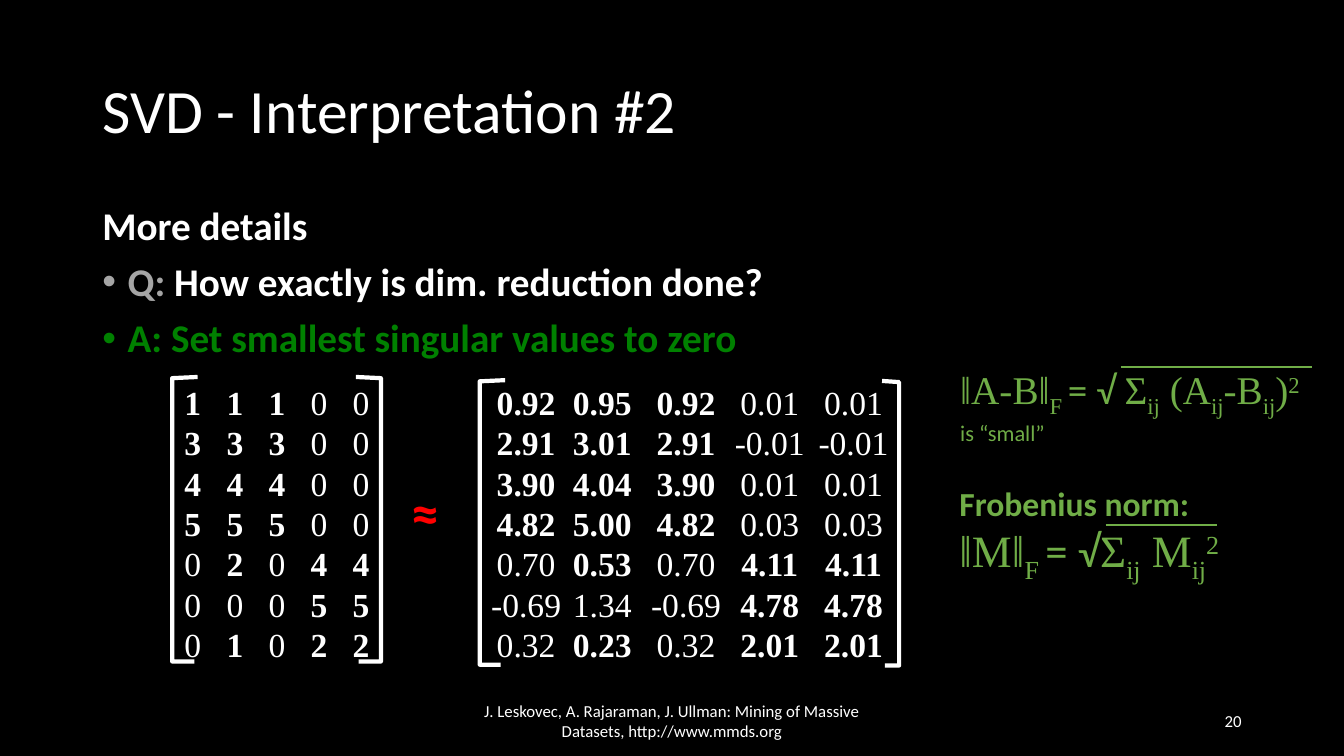
from lxml.etree import SubElement
from pptx import Presentation
from pptx.dml.color import RGBColor
from pptx.enum.shapes import MSO_CONNECTOR as Connector
from pptx.enum.text import MSO_ANCHOR as Anchor, PP_ALIGN as Align
from pptx.oxml.ns import qn
from pptx.util import Cm, Pt

BLACK = RGBColor(0x00, 0x00, 0x00)
WHITE = RGBColor(0xFF, 0xFF, 0xFF)
GRAY = RGBColor(0xA5, 0xA5, 0xA5)
GREEN = RGBColor(0x00, 0x80, 0x00)
LIGHT_GREEN = RGBColor(0x70, 0xAD, 0x47)
RED = RGBColor(0xFF, 0x00, 0x00)
SANS, SERIF = "Calibri", "Times New Roman"

SUB = {"baseline": -25}
SUP = {"baseline": 30}
SANS_RUN = {"font": SANS}

RATINGS = [
    "1 1 1 0 0",
    "3 3 3 0 0",
    "4 4 4 0 0",
    "5 5 5 0 0",
    "0 2 0 4 4",
    "0 0 0 5 5",
    "0 1 0 2 2",
]
APPROXIMATION = [
    "0.92 0.95 0.92 0.01 0.01",
    "2.91 3.01 2.91 -0.01 -0.01",
    "3.90 4.04 3.90 0.01 0.01",
    "4.82 5.00 4.82 0.03 0.03",
    "0.70 0.53 0.70 4.11 4.11",
    "-0.69 1.34 -0.69 4.78 4.78",
    "0.32 0.23 0.32 2.01 2.01",
]
RATING_TABS = [0.37 + 1.06 * column for column in range(5)]
APPROXIMATION_TABS = [0.94] + [2.86 + 2.11 * column for column in range(4)]


def add_run(paragraph, text, font=SANS, size=24, color=WHITE, bold=False, baseline=0):
    run = paragraph.add_run()
    run.text = text
    run.font.name = font
    run.font.size = Pt(size)
    run.font.color.rgb = color
    run.font.bold = bold
    if baseline:
        run.font._element.set("baseline", str(baseline * 1000))


def add_text(slide, box, paragraphs, anchor=Anchor.TOP, align=Align.LEFT,
             line_spacing=None, space_before=None, **run_format):
    """Each paragraph is a list of (text, format overrides) runs."""
    shape = slide.shapes.add_textbox(*map(Cm, box))
    frame = shape.text_frame
    frame.word_wrap = True
    frame.vertical_anchor = anchor
    for index, runs in enumerate(paragraphs):
        paragraph = frame.add_paragraph() if index else frame.paragraphs[0]
        paragraph.alignment = align
        paragraph.line_spacing = line_spacing
        paragraph.space_before = space_before
        for text, overrides in runs:
            add_run(paragraph, text, **{**run_format, **overrides})
    return shape


def add_bullet(paragraph, color):
    properties = paragraph._p.get_or_add_pPr()
    properties.set("marL", str(Cm(0.64)))
    properties.set("indent", str(-Cm(0.64)))
    bullet_color = SubElement(properties, qn("a:buClr"))
    SubElement(bullet_color, qn("a:srgbClr"), val=str(color))
    SubElement(properties, qn("a:buFont"), typeface="Arial")
    SubElement(properties, qn("a:buChar"), char="•")


def add_matrix(slide, box, rows, tabs):
    # An entry is bold where the matching rating is not zero
    paragraphs = [
        [("\t" + value, {"bold": rating != "0"})
         for value, rating in zip(row.split(), ratings.split())]
        for row, ratings in zip(rows, RATINGS)
    ]
    shape = add_text(slide, box, paragraphs, font=SERIF, line_spacing=Pt(28.8))
    for paragraph in shape.text_frame.paragraphs:
        tab_list = SubElement(paragraph._p.get_or_add_pPr(), qn("a:tabLst"))
        for position in tabs:
            SubElement(tab_list, qn("a:tab"), pos=str(Cm(position)), algn="ctr")


def add_bracket(slide, tip, side, foot, top):
    bottom = top + 7.17
    points = [(Cm(x), Cm(y)) for x, y in
              [(tip, top), (side, top + 0.03), (side, bottom), (foot, bottom)]]
    builder = slide.shapes.build_freeform(*points[0])
    builder.add_line_segments(points[1:], close=False)
    shape = builder.convert_to_shape()
    shape.shadow.inherit = False
    shape.fill.background()
    shape.line.color.rgb = WHITE
    shape.line.width = Pt(3)


def add_root_bar(slide, left, right, y):
    line = slide.shapes.add_connector(Connector.STRAIGHT, Cm(left), Cm(y), Cm(right), Cm(y))
    line.line.color.rgb = LIGHT_GREEN
    line.line.width = Pt(1)
    SubElement(line._element.spPr, qn("a:effectLst"))


def main():
    presentation = Presentation()
    presentation.slide_width = Cm(33.87)
    presentation.slide_height = Cm(19.05)
    slide = presentation.slides.add_slide(presentation.slide_layouts[6])
    slide.background.fill.solid()
    slide.background.fill.fore_color.rgb = BLACK

    # Title and body
    add_text(slide, (2.33, 1.01, 29.21, 3.68), [[("SVD - Interpretation #2", {})]],
             anchor=Anchor.MIDDLE, size=44, line_spacing=0.9)
    body = add_text(slide, (2.33, 5.07, 29.21, 12.09), [
        [("More details", {})],
        [("Q:", {"color": GRAY}), (" How exactly is dim. reduction done?", {})],
        [("A: Set smallest singular values to zero", {"color": GREEN})],
    ], size=28, bold=True, line_spacing=0.9, space_before=Pt(10))
    for paragraph, color in zip(body.text_frame.paragraphs[1:], (GRAY, GREEN)):
        add_bullet(paragraph, color)

    # Footer and slide number
    citation = "J. Leskovec, A. Rajaraman, J. Ullman: Mining of Massive Datasets, http://www.mmds.org"
    add_text(slide, (11.22, 17.66, 11.43, 1.01), [[(citation, {})]],
             anchor=Anchor.MIDDLE, align=Align.CENTER, size=12)
    add_text(slide, (23.92, 17.66, 7.62, 1.01), [[("20", {})]],
             anchor=Anchor.MIDDLE, align=Align.RIGHT, size=12)

    # Rating matrix and its approximation
    for tip, side, foot, top in [
        (4.98, 4.34, 4.9, 9.5), (8.97, 9.6, 9.04, 9.5),
        (12.73, 12.09, 12.62, 9.58), (22.23, 22.66, 22.3, 9.6),
    ]:
        add_bracket(slide, tip, side, foot, top)
    add_matrix(slide, (4.24, 9.5, 5.51, 7.44), RATINGS, RATING_TABS)
    add_text(slide, (10.13, 11.89, 1.3, 1.96), [[("≈", {})]],
             anchor=Anchor.MIDDLE, size=40, color=RED, bold=True)
    add_matrix(slide, (12.07, 9.5, 12.07, 7.44), APPROXIMATION, APPROXIMATION_TABS)

    # Frobenius norm formulas
    add_text(slide, (23.93, 12.04, 7.39, 2.64), [
        [("Frobenius norm:", {"font": SANS, "size": 24, "bold": True})],
        [("ǁMǁ", {}), ("F ", SUB), ("= √", SANS_RUN), ("Σ", {}), ("ij", SUB),
         (" M", {}), ("ij", SUB), ("2", SUP)],
    ], font=SERIF, size=32, color=LIGHT_GREEN)
    add_text(slide, (23.95, 9.09, 9.42, 2.64), [
        [("ǁA-Bǁ", {}), ("F ", SUB), ("= √ ", SANS_RUN), ("Σ", {}), ("ij", SUB),
         (" (A", {}), ("ij", SUB), ("-B", {}), ("ij", SUB), (")", {}), ("2", SUP)],
        [("is “small”", {"font": SANS, "size": 16})],
    ], font=SERIF, size=28, color=LIGHT_GREEN)
    add_root_bar(slide, 27.86, 30.66, 13.23)
    add_root_bar(slide, 28.24, 33.07, 9.25)

    presentation.save("out.pptx")


if __name__ == "__main__":
    main()
